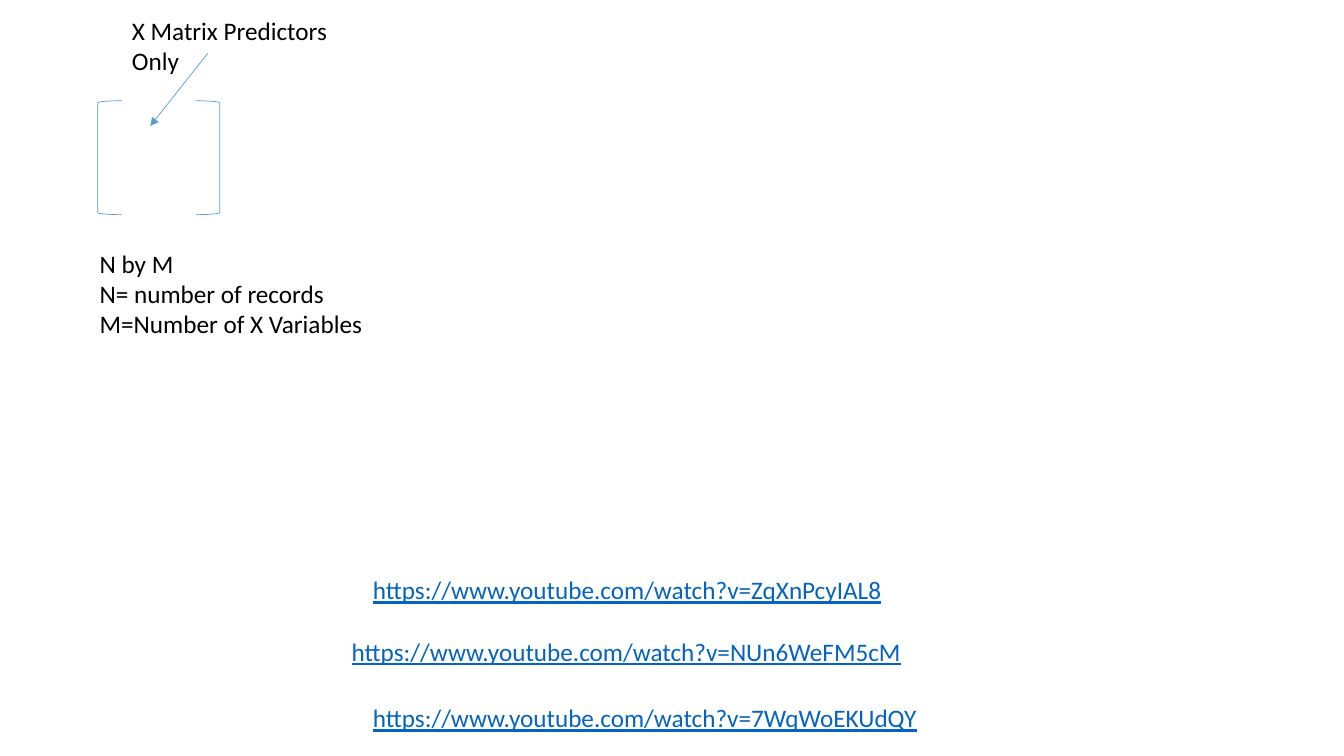
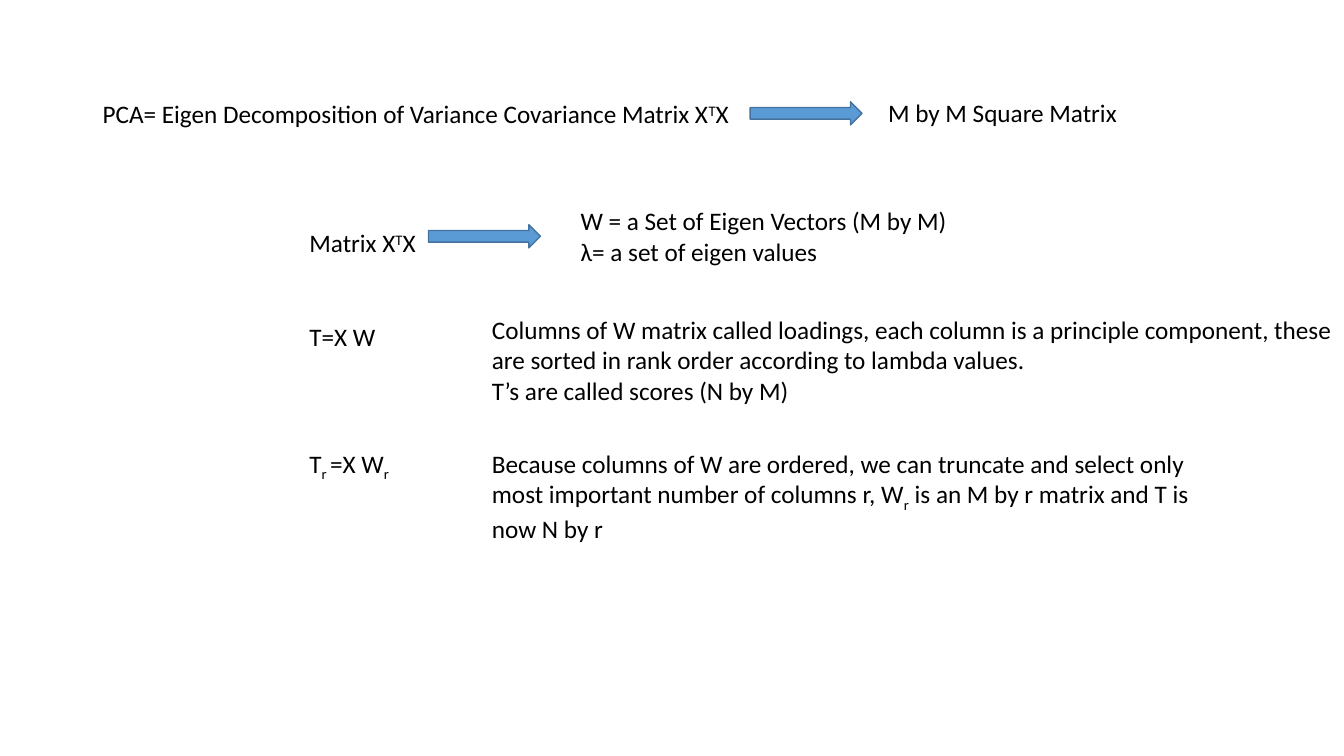
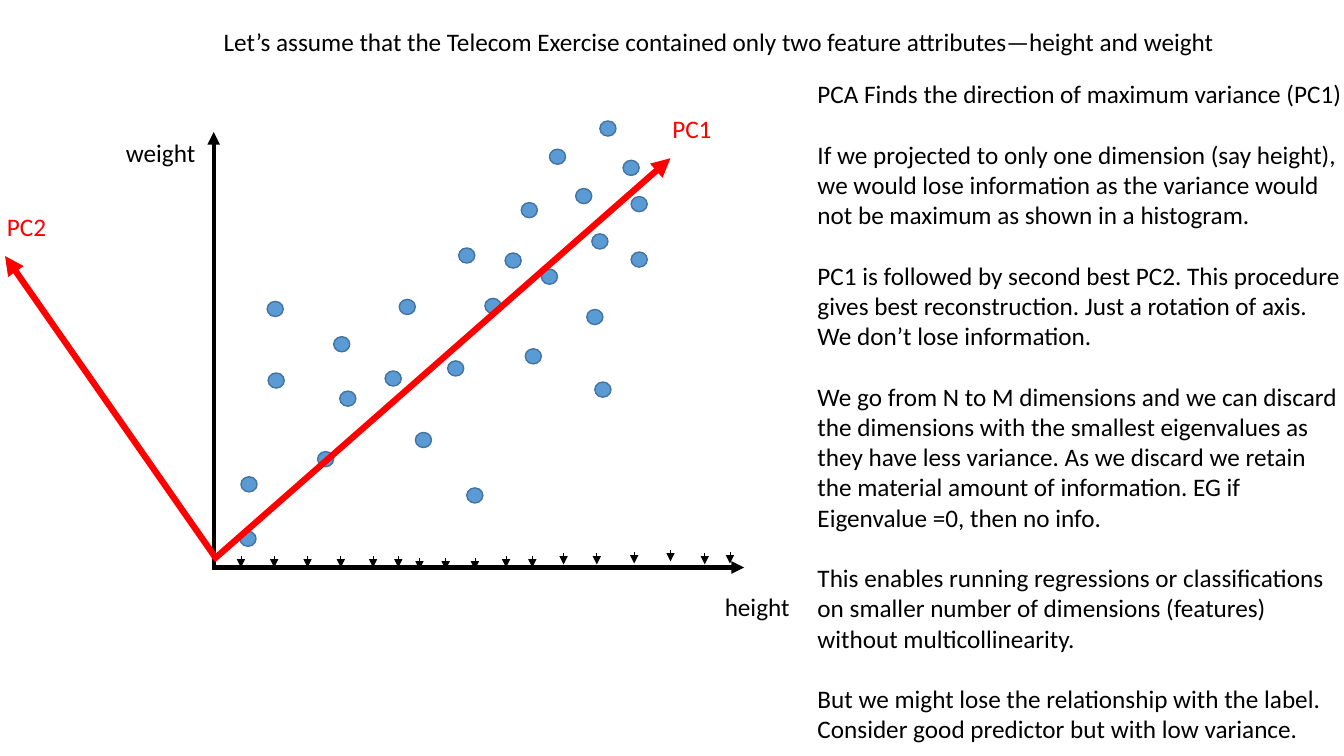
from dataclasses import dataclass
from typing import NamedTuple

from lxml.etree import SubElement
from pptx import Presentation
from pptx.dml.color import RGBColor
from pptx.enum.shapes import MSO_CONNECTOR, MSO_SHAPE
from pptx.enum.text import MSO_AUTO_SIZE
from pptx.oxml.ns import qn
from pptx.slide import Slide
from pptx.util import Inches, Length, Pt

BLACK = RGBColor(0x00, 0x00, 0x00)
RED = RGBColor(0xFF, 0x00, 0x00)
BLUE = RGBColor(0x5B, 0x9B, 0xD5)
DARK_BLUE = RGBColor(0x43, 0x73, 0x9E)
LINK_BLUE = RGBColor(0x05, 0x63, 0xC1)

FONT = "Calibri"
TEXT_SIZE = Pt(18)
LINE_HEIGHT = Pt(21.6)
CELLS_PER_INCH = 10
SUPERSCRIPT = 30000
SUBSCRIPT = -25000


class Span(NamedTuple):
    text: str
    baseline: int = 0


class Point(NamedTuple):
    column: float
    row: float


class Area(NamedTuple):
    column: float
    row: float
    columns: float
    rows: float


@dataclass(frozen=True)
class Label:
    area: Area
    paragraphs: tuple[str | tuple[Span, ...], ...]
    color: RGBColor = BLACK
    wrap: bool = True
    underline: bool = False
    gap: Length = Pt(0)


@dataclass(frozen=True)
class Figure:
    preset: MSO_SHAPE
    area: Area
    line: RGBColor = DARK_BLUE
    weight: float = 1
    fill: RGBColor | None = BLUE


@dataclass(frozen=True)
class Arrow:
    start: Point
    end: Point
    color: RGBColor = BLACK
    weight: float = 0.5


def grid(cells: float) -> Length:
    return Inches(cells / CELLS_PER_INCH)


def draw_label(page: Slide, label: Label) -> None:
    box = page.shapes.add_textbox(*map(grid, label.area))
    frame = box.text_frame
    frame.word_wrap = label.wrap
    frame.auto_size = MSO_AUTO_SIZE.SHAPE_TO_FIT_TEXT
    for index, content in enumerate(label.paragraphs):
        para = frame.add_paragraph() if index else frame.paragraphs[0]
        if index:
            para.space_before = label.gap
        if isinstance(content, str):
            para.text = content
        else:
            for span in content:
                run = para.add_run()
                run.text = span.text
                if span.baseline:
                    run.font._element.set("baseline", str(span.baseline))
        for run in para.runs:
            run.font.name = FONT
            run.font.size = TEXT_SIZE
            run.font.color.rgb = label.color
            if label.underline:
                run.font.underline = True


def draw_figure(page: Slide, figure: Figure) -> None:
    shape = page.shapes.add_shape(figure.preset, *map(grid, figure.area))
    shape.shadow.inherit = False
    if figure.fill is None:
        shape.fill.background()
    else:
        shape.fill.solid()
        shape.fill.fore_color.rgb = figure.fill
    shape.line.color.rgb = figure.line
    shape.line.width = Pt(figure.weight)


def draw_arrow(page: Slide, arrow: Arrow) -> None:
    connector = page.shapes.add_connector(
        MSO_CONNECTOR.STRAIGHT, *map(grid, arrow.start + arrow.end)
    )
    connector.line.color.rgb = arrow.color
    connector.line.width = Pt(arrow.weight)
    properties = connector._element.spPr
    SubElement(properties.find(qn("a:ln")), qn("a:tailEnd"), type="triangle")
    SubElement(properties, qn("a:effectLst"))


def draw(page: Slide, items: list[Label | Figure | Arrow]) -> None:
    for item in items:
        match item:
            case Label():
                draw_label(page, item)
            case Figure():
                draw_figure(page, item)
            case Arrow():
                draw_arrow(page, item)


def bracket(preset: MSO_SHAPE, column: float) -> Figure:
    return Figure(preset, Area(column, 10, 2.4, 11.3), BLUE, 0.5, None)


def link(column: float, row: float, columns: float, address: str) -> Label:
    return Label(
        Area(column, row, columns, 4), (address,), LINK_BLUE, wrap=False, underline=True
    )


def block_arrow(column: float, row: float) -> Figure:
    return Figure(MSO_SHAPE.RIGHT_ARROW, Area(column, row, 11.1, 2.3))


def dot(column: float, row: float) -> Figure:
    return Figure(MSO_SHAPE.OVAL, Area(column, row, 1.6, 1.5))


def tick(column: float, tip: float) -> Arrow:
    return Arrow(Point(column, tip - 1.1), Point(column, tip))


MATRIX_PAGE = [
    bracket(MSO_SHAPE.LEFT_BRACKET, 9.7),
    bracket(MSO_SHAPE.RIGHT_BRACKET, 19.4),
    Label(Area(12.1, 1, 23.9, 7.1), ("X Matrix Predictors Only",)),
    Label(
        Area(8.9, 24.1, 46.4, 10.1),
        ("N by M", "N= number of records", "M=Number of X Variables"),
    ),
    Arrow(Point(20.6, 5.3), Point(14.9, 12.5), BLUE),
    link(36, 56.5, 53.1, "https://www.youtube.com/watch?v=ZqXnPcyIAL8"),
    link(33.9, 62.6, 57.1, "https://www.youtube.com/watch?v=NUn6WeFM5cM"),
    link(36, 69.2, 56.6, "https://www.youtube.com/watch?v=7WqWoEKUdQY"),
]

FORMULA = 29.7
EXPLANATION = 47.8
TRANSPOSE = (Span("T", SUPERSCRIPT), Span("X"))

DECOMPOSITION_PAGE = [
    Label(
        Area(9.2, 9.3, 112.8, 4),
        ((Span("PCA= Eigen Decomposition of Variance Covariance Matrix X"), *TRANSPOSE),),
    ),
    block_arrow(74.4, 10.1),
    Label(Area(87.1, 9.2, 25, 4), ("M by M Square Matrix",), wrap=False),
    Label(Area(FORMULA, 22.1, 12.8, 4), ((Span("Matrix X"), *TRANSPOSE),), wrap=False),
    block_arrow(42.5, 22.3),
    Label(
        Area(56.6, 19.9, 48.3, 7.1),
        ("W = a Set of Eigen Vectors (M by M)", "λ= a set of eigen values"),
    ),
    Label(Area(FORMULA, 31.4, 42.9, 4), ("T=X W",)),
    Label(
        Area(EXPLANATION, 30.7, 85.5, 10.1),
        (
            "Columns of W matrix called loadings, each column is a principle component, "
            "these are sorted in rank order according to lambda values.",
            "T’s are called scores (N by M)",
        ),
    ),
    Label(
        Area(FORMULA, 44, 42.9, 4),
        ((Span("T"), Span("r ", SUBSCRIPT), Span("=X W"), Span("r", SUBSCRIPT)),),
    ),
    Label(
        Area(EXPLANATION, 44, 75.1, 10.1),
        (
            (
                Span(
                    "Because columns of W are ordered, we can truncate and select only "
                    "most important number of columns r, W"
                ),
                Span("r", SUBSCRIPT),
                Span(" is an M by r matrix and T is now N by r"),
            ),
        ),
    ),
]

DOTS = [
    (62.6, 19.5), (23.9, 47.3), (23.8, 52.7), (26.6, 37), (52.1, 34.6), (46.3, 48.4),
    (45.5, 24.6), (58.2, 30.7), (62.6, 25), (48.1, 29.6), (57.1, 18.7), (38.2, 36.8),
    (50.1, 25.1), (58.7, 23.2), (61.8, 15.9), (54.5, 14.8), (51.7, 20.1), (59.5, 12),
    (26.5, 29.9), (39.6, 29.7), (33.7, 38.8), (31.5, 44.8), (33.1, 33.4), (41.2, 42.9),
    (44.4, 35.8), (59, 37.9), (53.7, 26.7),
]
TICKS = [
    (23.9, 56.3), (27.2, 56.3), (30.5, 56.3), (33.8, 56.3), (37, 56.3), (39.5, 56.3),
    (41.6, 56.5), (44.2, 56.5), (47.1, 56.5), (50.2, 56.3), (52.8, 56.3), (55.9, 56),
    (59.2, 56), (62.9, 55.9), (66.5, 55.7), (69.9, 56), (72.4, 55.9),
]
AXIS = 21.2

COMPONENTS_PAGE = [
    Arrow(Point(AXIS, 56.5), Point(AXIS, 13.1), weight=3),
    Arrow(Point(AXIS, 56.3), Point(73.8, 56.3), weight=3),
    Label(
        Area(AXIS, 2.1, 103.3, 4),
        (
            "Let’s assume that the Telecom Exercise contained only two feature "
            "attributes—height and weight",
        ),
    ),
    Label(Area(70.9, 58.2, 11.4, 4), ("height",)),
    Label(Area(11.5, 13.1, 11.4, 4), ("weight",)),
    *(dot(*place) for place in DOTS),
    Label(
        Area(80.1, 7.3, 54.3, 67.7),
        (
            "PCA Finds the direction of maximum variance (PC1)",
            "If we projected to only one dimension (say height), we would lose information "
            "as the variance would not be maximum as shown in a histogram.",
            "PC1 is followed by second best PC2. This procedure gives best reconstruction. "
            "Just a rotation of axis. We don’t lose information.",
            "We go from N to M dimensions and we can discard the dimensions with the "
            "smallest eigenvalues as they have less variance. As we discard we retain the "
            "material amount of information. EG if Eigenvalue =0, then no info.",
            "This enables running regressions or classifications on smaller number of "
            "dimensions (features) without multicollinearity.",
            "But we might lose the relationship with the label. Consider good predictor "
            "but with low variance.",
        ),
        gap=LINE_HEIGHT,
    ),
    Arrow(Point(AXIS, 55.5), Point(66.5, 15.7), RED, 4.5),
    *(tick(*place) for place in TICKS),
    Arrow(Point(21.5, 55.5), Point(0.5, 25.4), RED, 4.5),
    Label(Area(65.7, 10.8, 13, 4), ("PC1",), RED),
    Label(Area(-0.3, 20.5, 13, 4), ("PC2",), RED),
]


def main() -> None:
    deck = Presentation()
    deck.slide_width = Inches(13.33)
    deck.slide_height = Inches(7.5)
    blank = deck.slide_layouts[6]
    for items in (MATRIX_PAGE, DECOMPOSITION_PAGE, COMPONENTS_PAGE):
        draw(deck.slides.add_slide(blank), items)
    deck.save("out.pptx")


if __name__ == "__main__":
    main()
